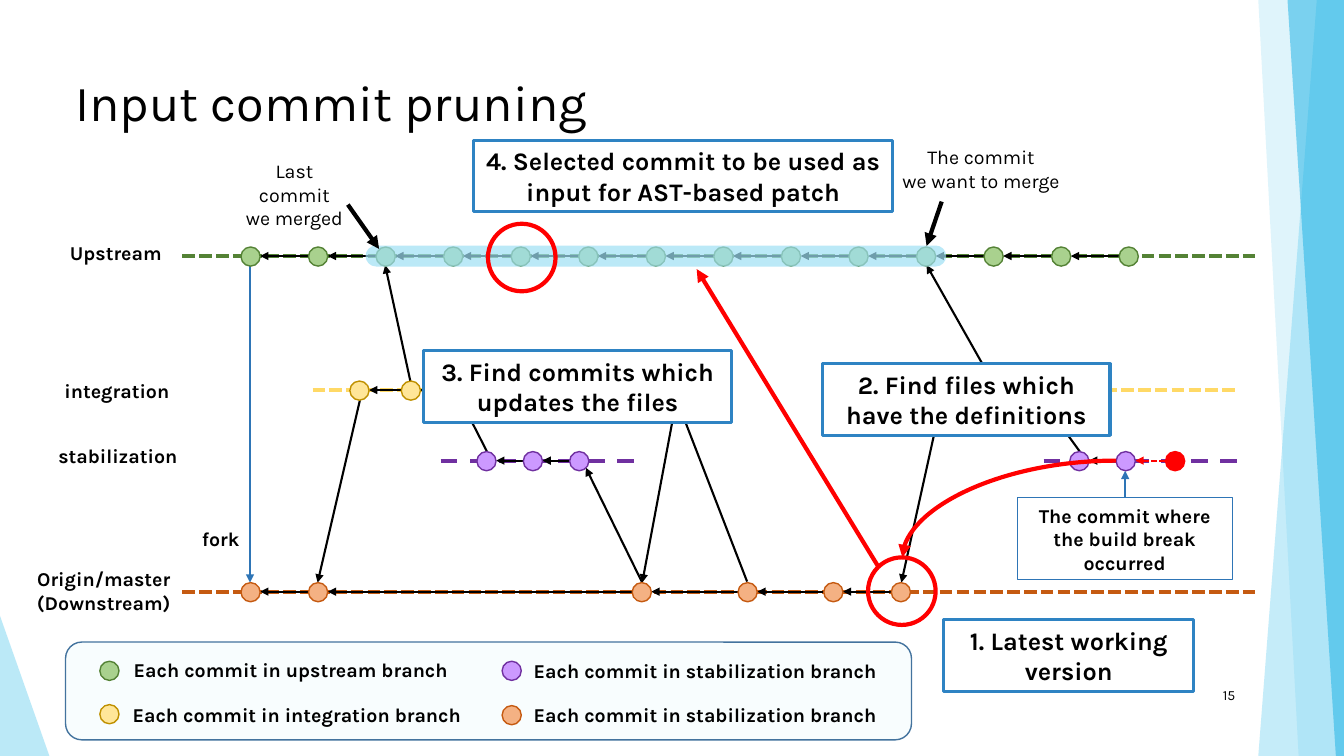
import dataclasses
import itertools
import typing

import pptx
import pptx.dml.color
import pptx.enum.dml
import pptx.enum.shapes
import pptx.enum.text
import pptx.oxml
import pptx.oxml.ns
import pptx.util

EMU_PER_PX = 9144
COMMIT_SIZE = 19
RING_SIZE = 67
FONT = "Karla"
COLORS = {
    "black": "000000", "white": "FFFFFF", "red": "FF0000", "blue": "2E75B6",
    "box": "2E83C3", "legend": "F8FDFE", "legend edge": "43739E",
    "sky": "5FCBEF", "deep sky": "17B0E4", "pale sky": "9FE0F5",
    "upstream": "A9D18E", "upstream edge": "548235",
    "integration": "FFE699", "integration edge": "BF9000", "integration lane": "FFD966",
    "stabilization": "CC99FF", "stabilization edge": "7030A0",
    "origin": "F4B183", "origin edge": "C55A11",
    "broken": "FF0000", "broken edge": "FF0000",
}
SHAPES = pptx.enum.shapes.MSO_SHAPE
CONNECTORS = pptx.enum.shapes.MSO_CONNECTOR
DASHES = pptx.enum.dml.MSO_LINE
ALIGN = pptx.enum.text.PP_ALIGN
ANCHOR = pptx.enum.text.MSO_ANCHOR


class Stroke(typing.NamedTuple):
    start: tuple[int, int]
    end: tuple[int, int]
    color: str = "black"
    width: float = 1.5
    dash: typing.Any = None
    arrow: bool = True
    alpha: int = 100
    curved: bool = False


class Chain(typing.NamedTuple):
    branch: str
    middle: int
    lefts: list[int]


@dataclasses.dataclass
class Label:
    left: int
    top: int
    width: int
    height: int
    text: str
    size: int = 14
    bold: bool = True
    align: typing.Any = ALIGN.CENTER
    anchor: typing.Any = ANCHOR.TOP
    wrap: bool = False


@dataclasses.dataclass
class Callout:
    left: int
    top: int
    width: int
    height: int
    text: str
    size: int = 18
    edge: str = "box"
    edge_width: float = 2.25
    fill: str | None = "white"


class Facet(typing.NamedTuple):
    points: list[tuple[int, int]]
    color: str
    alpha: int


FACETS = [
    Facet([(1306, 0), (1333, 0), (1333, 750), (1248, 750)], "sky", 36),
    Facet([(1248, 0), (1333, 0), (1333, 750), (1288, 750)], "sky", 20),
    Facet([(1277, 0), (1333, 0), (1333, 750), (1325, 750)], "deep sky", 50),
    Facet([(0, 611), (49, 750), (0, 750)], "pale sky", 70),
]
LANES = [
    Stroke((left, middle), (right, middle), color, 3, dash, arrow=False)
    for left, right, middle, color, dash in [
        (181, 1246, 254, "upstream edge", DASHES.SQUARE_DOT),
        (310, 691, 387, "integration lane", DASHES.SQUARE_DOT),
        (895, 1228, 387, "integration lane", DASHES.SQUARE_DOT),
        (437, 632, 457, "stabilization edge", DASHES.DASH),
        (1035, 1230, 457, "stabilization edge", DASHES.DASH),
        (181, 1246, 587, "origin edge", DASHES.SQUARE_DOT),
    ]
]
CHAINS = [
    Chain("upstream", 254, [239 + 67 * index for index in range(14)]),
    Chain("integration", 387, [347, 398]),
    Chain("stabilization", 457, [473, 519, 565]),
    Chain("stabilization", 457, [1061, 1107]),
    Chain("origin", 587, [239, 306, 627, 732, 817, 884]),
    Chain("broken", 457, [1156]),
]
BRANCH_ARROWS = [
    Stroke((448, 387), (416, 387)),
    Stroke((248, 263), (248, 578), "blue"),
    Stroke((357, 397), (315, 578)),
    Stroke((407, 378), (382, 263)),
    Stroke((483, 448), (457, 397)),
    Stroke((934, 397), (894, 578)),
    Stroke((984, 378), (919, 263)),
    Stroke((1071, 448), (1034, 397)),
    Stroke((671, 396), (637, 578)),
    Stroke((637, 578), (581, 464)),
    Stroke((741, 577), (671, 396)),
    Stroke((1156, 457), (1126, 457), "red", dash=DASHES.SQUARE_DOT),
    Stroke((1116, 494), (1116, 467), "blue"),
]
HIGHLIGHTS = [
    Stroke((373, 254), (928, 254), "pale sky", 15, arrow=False, alpha=70),
    Stroke((1107, 457), (895, 553), "red", 3, curved=True),
    Stroke((871, 562), (691, 267), "red", 3),
    Stroke((345, 203), (376, 247), width=3),
    Stroke((934, 200), (919, 244), width=3),
]
RINGS = [(861, 553), (484, 222)]
CALLOUTS = [
    Callout(1009, 494, 213, 81, "The commit where the build break occurred", 14, "blue", 0.75, None),
    Callout(936, 615, 248, 71, "1. Latest working version", fill=None),
    Callout(816, 361, 285, 71, "2. Find files which have the definitions"),
    Callout(420, 348, 306, 71, "3. Find commits which updates the files"),
    Callout(470, 139, 415, 71, "4. Selected commit to be used as input for AST-based patch"),
]
LEGEND_COMMITS = [
    Chain("upstream", 665, [99]),
    Chain("integration", 708, [99]),
    Chain("stabilization", 665, [498]),
    Chain("origin", 709, [498]),
]
LABELS = [
    Label(65, 29, 1211, 144, "Input commit pruning", 36, False, ALIGN.LEFT, ANCHOR.MIDDLE, True),
    Label(57, 234, 116, 34, "Upstream"),
    Label(51, 371, 130, 34, "integration"),
    Label(46, 436, 142, 34, "stabilization"),
    Label(21, 558, 164, 57, "Origin/master\n(Downstream)"),
    Label(189, 518, 60, 34, "fork"),
    Label(226, 153, 132, 80, "Last\vcommit\nwe merged", bold=False),
    Label(884, 139, 178, 57, "The commit\nwe want to merge", bold=False),
    Label(116, 648, 345, 34, "Each commit in upstream branch"),
    Label(114, 692, 361, 34, "Each commit in integration branch"),
    Label(513, 649, 373, 34, "Each commit in stabilization branch"),
    Label(513, 692, 373, 34, "Each commit in stabilization branch"),
    Label(1160, 669, 75, 40, "15", 10, False, ALIGN.RIGHT, ANCHOR.MIDDLE, True),
]


def px(length: int) -> pptx.util.Emu:
    return pptx.util.Emu(length * EMU_PER_PX)


def rgb(name: str) -> pptx.dml.color.RGBColor:
    return pptx.dml.color.RGBColor.from_string(COLORS[name])


def set_alpha(shape, percent: int) -> None:
    color = shape.element.spPr.find(".//" + pptx.oxml.ns.qn("a:srgbClr"))
    pptx.oxml.ns.qn("a:alpha")
    color.append(make_element("alpha", val=str(percent * 1000)))


def make_element(tag: str, **attributes: str):
    element = pptx.oxml.parse_xml(f'<a:{tag} {pptx.oxml.ns.nsdecls("a")}/>')
    for name, value in attributes.items():
        element.set(name, value)
    return element


def draw_facet(slide, facet: Facet) -> None:
    builder = slide.shapes.build_freeform(*facet.points[0], scale=EMU_PER_PX)
    builder.add_line_segments(facet.points[1:], close=True)
    shape = builder.convert_to_shape()
    shape.shadow.inherit = False
    shape.fill.solid()
    shape.fill.fore_color.rgb = rgb(facet.color)
    shape.line.fill.background()
    set_alpha(shape, facet.alpha)


def draw_stroke(slide, stroke: Stroke) -> None:
    kind = CONNECTORS.CURVE if stroke.curved else CONNECTORS.STRAIGHT
    connector = slide.shapes.add_connector(kind, *map(px, stroke.start + stroke.end))
    connector.line.color.rgb = rgb(stroke.color)
    connector.line.width = pptx.util.Pt(stroke.width)
    if stroke.dash:
        connector.line.dash_style = stroke.dash
    properties = connector.element.spPr
    outline = properties.find(pptx.oxml.ns.qn("a:ln"))
    if stroke.curved:
        properties.find(pptx.oxml.ns.qn("a:prstGeom")).set("prst", "curvedConnector2")
    if stroke.arrow:
        outline.append(make_element("tailEnd", type="triangle"))
    if stroke.alpha < 100:
        outline.set("cap", "rnd")
        set_alpha(connector, stroke.alpha)
    properties.append(make_element("effectLst"))


def draw_shape(slide, kind, box: tuple[int, int, int, int], fill: str | None, edge: str, width: float):
    shape = slide.shapes.add_shape(kind, *map(px, box))
    shape.shadow.inherit = False
    if fill:
        shape.fill.solid()
        shape.fill.fore_color.rgb = rgb(fill)
    else:
        shape.fill.background()
    shape.line.color.rgb = rgb(edge)
    shape.line.width = pptx.util.Pt(width)
    return shape


def draw_commits(slide, chain: Chain) -> None:
    for left in chain.lefts:
        box = (left, chain.middle - COMMIT_SIZE // 2, COMMIT_SIZE, COMMIT_SIZE)
        draw_shape(slide, SHAPES.OVAL, box, chain.branch, f"{chain.branch} edge", 1)


def draw_chain(slide, chain: Chain) -> None:
    for previous, left in itertools.pairwise(chain.lefts):
        draw_stroke(slide, Stroke((left, chain.middle), (previous + COMMIT_SIZE, chain.middle)))
    draw_commits(slide, chain)


def write_text(shape, text: str, size: int, bold: bool, align) -> None:
    shape.text_frame.text = text
    for paragraph in shape.text_frame.paragraphs:
        paragraph.alignment = align
        for run in paragraph.runs:
            run.font.name = FONT
            run.font.size = pptx.util.Pt(size)
            run.font.bold = bold
            run.font.color.rgb = rgb("black")


def draw_callout(slide, callout: Callout) -> None:
    box = (callout.left, callout.top, callout.width, callout.height)
    shape = draw_shape(slide, SHAPES.RECTANGLE, box, callout.fill, callout.edge, callout.edge_width)
    shape.text_frame.word_wrap = True
    write_text(shape, callout.text, callout.size, True, ALIGN.CENTER)


def draw_label(slide, label: Label) -> None:
    shape = slide.shapes.add_textbox(*map(px, (label.left, label.top, label.width, label.height)))
    shape.text_frame.word_wrap = label.wrap
    shape.text_frame.vertical_anchor = label.anchor
    write_text(shape, label.text, label.size, label.bold, label.align)


def draw_all(slide, draw: typing.Callable, items: typing.Iterable) -> None:
    for item in items:
        draw(slide, item)


def main() -> None:
    presentation = pptx.Presentation()
    presentation.slide_width, presentation.slide_height = px(1333), px(750)
    slide = presentation.slides.add_slide(presentation.slide_layouts[6])
    draw_all(slide, draw_facet, FACETS)
    draw_all(slide, draw_stroke, LANES + BRANCH_ARROWS)
    draw_all(slide, draw_chain, CHAINS)
    draw_all(slide, draw_callout, CALLOUTS)
    draw_all(slide, draw_stroke, HIGHLIGHTS)
    for left, top in RINGS:
        draw_shape(slide, SHAPES.OVAL, (left, top, RING_SIZE, RING_SIZE), None, "red", 3)
    draw_shape(slide, SHAPES.ROUNDED_RECTANGLE, (65, 637, 839, 97), "legend", "legend edge", 1)
    draw_all(slide, draw_commits, LEGEND_COMMITS)
    draw_all(slide, draw_label, LABELS)
    presentation.save("out.pptx")


if __name__ == "__main__":
    main()
